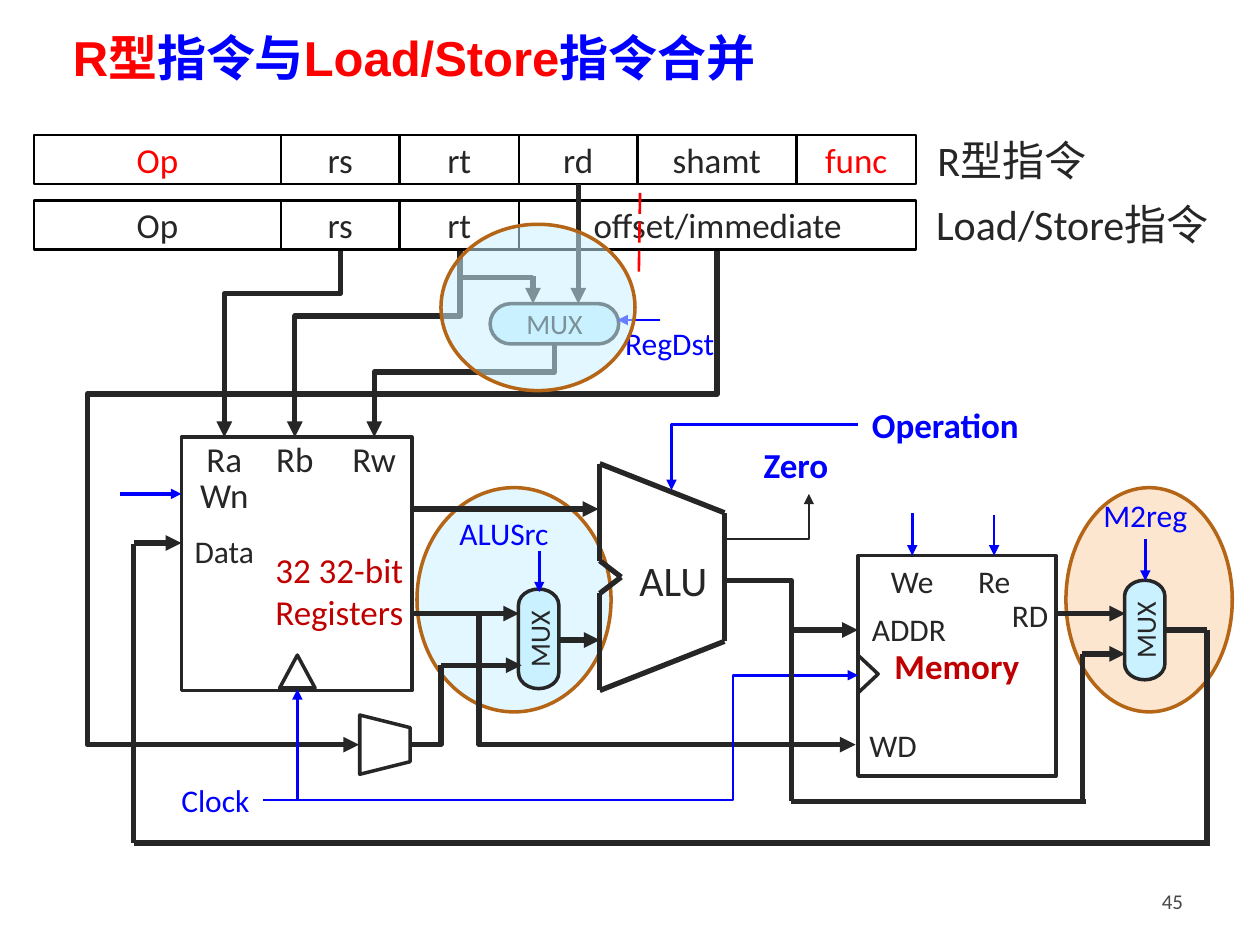
from itertools import pairwise

from lxml.etree import SubElement
from pptx import Presentation
from pptx.dml.color import RGBColor
from pptx.enum.dml import MSO_LINE
from pptx.enum.shapes import MSO_CONNECTOR, MSO_SHAPE
from pptx.enum.text import MSO_ANCHOR, PP_ALIGN
from pptx.oxml.ns import qn
from pptx.util import Inches, Pt

INK, BLUE, RED, DARK_RED = "262626", "0000FF", "FF0000", "C00000"
WHITE, BLACK, CYAN, PEACH, BROWN = "FFFFFF", "000000", "C9F1FF", "FBD0A5", "B56516"
L, C, R = PP_ALIGN.LEFT, PP_ALIGN.CENTER, PP_ALIGN.RIGHT
PAD, FLUSH = (0.11, 0.05), (0, 0)

TITLE = [("R型", RED), ("指令与", BLUE), ("Load/Store", RED), ("指令合并", BLUE)]

# Instruction formats: top, cell edges, (field, colour)
FORMATS = [
    (1.59, [0.27, 2.23, 3.17, 4.12, 7.27],
     [("Op", INK), ("rs", INK), ("rt", INK), ("offset/immediate", INK)]),
    (1.07, [0.27, 2.23, 3.17, 4.12, 5.06, 6.32, 7.27],
     [("Op", RED), ("rs", INK), ("rt", INK), ("rd", INK), ("shamt", INK), ("func", RED)]),
]

# Highlights: left, top, width, height, colour
HIGHLIGHTS = [(8.46, 3.87, 1.32, 1.78, PEACH), (3.31, 3.87, 1.54, 1.78, CYAN)]
REGDST_HIGHLIGHT = (3.5, 1.78, 1.54, 1.32, CYAN)

# Multiplexers: left, top, width, rotation
MUXES = [(3.88, 4.91, 0.79, 270), (8.69, 4.84, 0.79, 270), (3.89, 2.41, 1.02, 0)]

ALU_OUTLINE = [(4.76, 3.68), (4.76, 4.45), (4.93, 4.58), (4.76, 4.71), (4.76, 5.48),
               (5.75, 5.09), (5.75, 4.07), (4.76, 3.68)]

# Straight wires: x1, y1, x2, y2
DATA_ARROWS = [
    (3.25, 4.04, 4.75, 4.04), (3.27, 4.87, 4.12, 4.87), (3.5, 5.28, 4.14, 5.28),
    (4.43, 5.08, 4.76, 5.08), (8.59, 5.19, 8.93, 5.19), (1.06, 4.31, 1.44, 4.31),
    (4.59, 1.46, 4.59, 2.41), (4.23, 2.19, 4.23, 2.41),
]
DATA_LINES = [
    (6.28, 6.36, 6.28, 4.94), (8.59, 6.36, 8.59, 5.19), (6.28, 6.36, 8.62, 6.36),
    (9.25, 5, 9.58, 5), (9.58, 6.69, 9.58, 5), (1.06, 6.69, 9.6, 6.69),
    (1.06, 6.69, 1.06, 4.32), (3.67, 2.2, 4.23, 2.2),
]
CONTROL_ARROWS = [
    (7.24, 4.07, 7.24, 4.41), (7.89, 4.09, 7.89, 4.41), (4.28, 4.37, 4.28, 4.7),
    (9.09, 4.28, 9.09, 4.61), (5.24, 2.54, 4.9, 2.54), (2.36, 6.35, 2.36, 5.47),
]

# Bent wires: ends, colour, width, arrow, starts vertically, bend fractions
ELBOWS = [
    ((2.7, 1.99, 1.78, 3.47), INK, 3, True, True, [0.23]),
    ((3.65, 1.99, 2.34, 3.47), INK, 3, True, True, [0.35]),
    ((5.69, 1.99, 2.85, 5.91), INK, 3, True, True, [0.29, 1.76]),
    ((4.4, 2.73, 2.97, 3.47), INK, 3, True, True, [0.3]),
    ((5.75, 4.28, 6.42, 3.92), INK, 1.5, True, False, []),
    ((5.75, 4.61, 6.81, 5), INK, 3, True, False, [0.5]),
    ((3.47, 4.87, 6.79, 5.91), INK, 3, True, False, [0.1]),
    ((3.25, 5.91, 3.5, 5.28), INK, 3, False, False, []),
    ((6.81, 3.37, 5.33, 3.89), BLUE, 1.5, True, False, [1]),
    ((2.09, 6.35, 6.81, 5.36), BLUE, 1.5, True, False, [0.79]),
]

# Labels: text, left, top, width, height, size, colour, alignment, insets, bold
LABELS = [
    ("Ra", 1.44, 3.47, 0.68, 0.34, 20, INK, C, FLUSH, False),
    ("Rb", 2, 3.47, 0.68, 0.34, 20, INK, C, FLUSH, False),
    ("Rw", 2.63, 3.47, 0.68, 0.34, 20, INK, C, FLUSH, False),
    ("Wn", 1.44, 3.76, 0.68, 0.34, 20, INK, C, FLUSH, False),
    ("Data", 1.44, 4.22, 0.68, 0.3, 18, INK, C, FLUSH, False),
    ("32 32-bit\nRegisters", 1.62, 4.3, 1.69, 0.78, 20, DARK_RED, R, PAD, False),
    ("Clock", 1.25, 6.15, 0.84, 0.41, 18, BLUE, R, PAD, False),
    ("ALU", 4.93, 4.4, 0.83, 0.4, 24, INK, C, FLUSH, False),
    ("Zero", 5.95, 3.47, 0.95, 0.45, 20, BLUE, L, PAD, True),
    ("Operation", 6.81, 3.15, 1.5, 0.45, 20, BLUE, L, PAD, True),
    ("ADDR", 6.81, 4.79, 0.95, 0.41, 18, INK, L, PAD, False),
    ("WD", 6.79, 5.71, 0.95, 0.41, 18, INK, L, PAD, False),
    ("RD", 7.69, 4.68, 0.74, 0.41, 18, INK, R, PAD, False),
    ("We", 6.88, 4.41, 0.72, 0.41, 18, INK, C, PAD, False),
    ("Re", 7.58, 4.41, 0.62, 0.41, 18, INK, C, PAD, False),
    ("ALUSrc", 3.38, 4.03, 1.24, 0.41, 18, BLUE, C, PAD, False),
    ("M2reg", 8.47, 3.89, 1.24, 0.41, 18, BLUE, C, PAD, False),
    ("RegDst", 4.84, 2.52, 0.95, 0.41, 18, BLUE, C, PAD, False),
    ("R型指令", 7.33, 1.02, 2.4, 0.51, 24, INK, L, PAD, False),
    ("Load/Store指令", 7.32, 1.53, 2.4, 0.51, 24, INK, L, PAD, False),
    ("45", 7.17, 7, 2.33, 0.3, 12, "474747", R, PAD, False),
]

prs = Presentation()
prs.slide_width, prs.slide_height = Inches(10), Inches(7.5)
shapes = prs.slides.add_slide(prs.slide_layouts[6]).shapes


def rgb(value):
    return RGBColor.from_string(value)


def style_text(tf, size, colour, align, bold=False):
    for p in tf.paragraphs:
        p.alignment = align
        for r in p.runs:
            r.font.name, r.font.size, r.font.bold = "Calibri", Pt(size), bold
            r.font.color.rgb = rgb(colour)


def block(kind, box, fill=None, line=INK, width=2, rotation=0, flip=False):
    s = shapes.add_shape(kind, *map(Inches, box))
    s.shadow.inherit = False
    s.rotation = rotation
    if flip:
        s._element.spPr.find(qn("a:xfrm")).set("flipV", "1")
    if fill:
        s.fill.solid()
        s.fill.fore_color.rgb = rgb(fill)
    else:
        s.fill.background()
    if line:
        s.line.color.rgb, s.line.width = rgb(line), Pt(width)
    else:
        s.line.fill.background()
    return s


def caption(s, text, size, colour, bold=False):
    tf = s.text_frame
    tf.margin_left = tf.margin_right = tf.margin_top = tf.margin_bottom = 0
    tf.word_wrap, tf.vertical_anchor = False, MSO_ANCHOR.MIDDLE
    tf.text = text
    style_text(tf, size, colour, C, bold)


def highlight(*box, colour):
    s = block(MSO_SHAPE.OVAL, box, colour, BROWN)
    SubElement(s._element.spPr.find(".//" + qn("a:srgbClr")), qn("a:alpha"), val="53000")


def wire(ends, colour=INK, width=3, arrow=False, kind=MSO_CONNECTOR.STRAIGHT):
    s = shapes.add_connector(kind, *map(Inches, ends))
    s.line.color.rgb, s.line.width = rgb(colour), Pt(width)
    if arrow:
        SubElement(s.line._get_or_add_ln(), qn("a:tailEnd"), type="triangle")
    SubElement(s._element.spPr, qn("a:effectLst"))
    return s


def elbow(ends, colour, width, arrow, vertical, bends):
    """Bent wire; one that starts vertically is laid out flat and turned by 90 degrees."""
    if vertical:
        x1, y1, x2, y2 = ends
        cx, cy, half_w, half_h = (x1 + x2) / 2, (y1 + y2) / 2, (y2 - y1) / 2, (x1 - x2) / 2
        ends = (cx - half_w, cy - half_h, cx + half_w, cy + half_h)
    spPr = wire(ends, colour, width, arrow, MSO_CONNECTOR.ELBOW)._element.spPr
    if vertical:
        spPr.find(qn("a:xfrm")).set("rot", "5400000")
    geom = spPr.find(qn("a:prstGeom"))
    geom.set("prst", f"bentConnector{len(bends) + 2}")
    for i, bend in enumerate(bends, 1):
        SubElement(geom.find(qn("a:avLst")), qn("a:gd"), name=f"adj{i}",
                   fmla=f"val {round(bend * 100000)}")


def label(text, x, y, w, h, size, colour, align, insets, bold):
    tf = shapes.add_textbox(*map(Inches, (x, y, w, h))).text_frame
    tf.word_wrap = True
    tf.margin_left = tf.margin_right = Inches(insets[0])
    tf.margin_top = tf.margin_bottom = Inches(insets[1])
    tf.text = text
    style_text(tf, size, colour, align, bold)


block(MSO_SHAPE.RECTANGLE, (0.01, 6.12, 9.99, 1.18), WHITE, None)
for *box, colour in HIGHLIGHTS:
    highlight(*box, colour=colour)

tf = shapes.add_textbox(*map(Inches, (0.48, 0.08, 9.19, 0.75))).text_frame
tf.word_wrap, tf.vertical_anchor = True, MSO_ANCHOR.MIDDLE
for text, colour in TITLE:
    r = tf.paragraphs[0].add_run()
    r.text = text
    r.font.name, r.font.size, r.font.bold = "Arial", Pt(28), True
    r.font.color.rgb = rgb(colour)

wire((7.83, 4.87, 8.93, 4.87), arrow=True)
memory = block(MSO_SHAPE.RECTANGLE, (6.81, 4.41, 1.57, 1.75), WHITE)
caption(memory, "Memory", 20, DARK_RED, True)
block(MSO_SHAPE.RECTANGLE, (1.44, 3.47, 1.83, 2.01))
block(MSO_SHAPE.FLOWCHART_MERGE, (2.22, 5.2, 0.28, 0.26), flip=True)
block(MSO_SHAPE.FLOWCHART_MERGE, (6.74, 5.27, 0.3, 0.16), rotation=90, flip=True)
block(MSO_SHAPE.TRAPEZOID, (2.82, 5.71, 0.47, 0.4), rotation=90)

for top, edges, fields in FORMATS:
    for (left, right), (field, colour) in zip(pairwise(edges), fields):
        cell = block(MSO_SHAPE.RECTANGLE, (left, top, right - left, 0.39), WHITE, BLACK, 1.5)
        caption(cell, field, 20, colour)

for start, end in pairwise(ALU_OUTLINE):
    wire(start + end)
for bent in ELBOWS:
    elbow(*bent)
wire((5.08, 1.53, 5.07, 2.19), RED, 1.5).line.dash_style = MSO_LINE.LONG_DASH
for x, y, w, rotation in MUXES:
    mux = block(MSO_SHAPE.FLOWCHART_TERMINATOR, (x, y, w, 0.32), CYAN, rotation=rotation)
    caption(mux, "MUX", 16, INK)
for ends in DATA_ARROWS:
    wire(ends, arrow=True)
for ends in DATA_LINES:
    wire(ends)
for ends in CONTROL_ARROWS:
    wire(ends, BLUE, 1.5, True)
wire((0.95, 3.92, 1.44, 3.92), BLUE, 2, True)
for item in LABELS:
    label(*item)
*box, colour = REGDST_HIGHLIGHT
highlight(*box, colour=colour)

prs.save("out.pptx")
